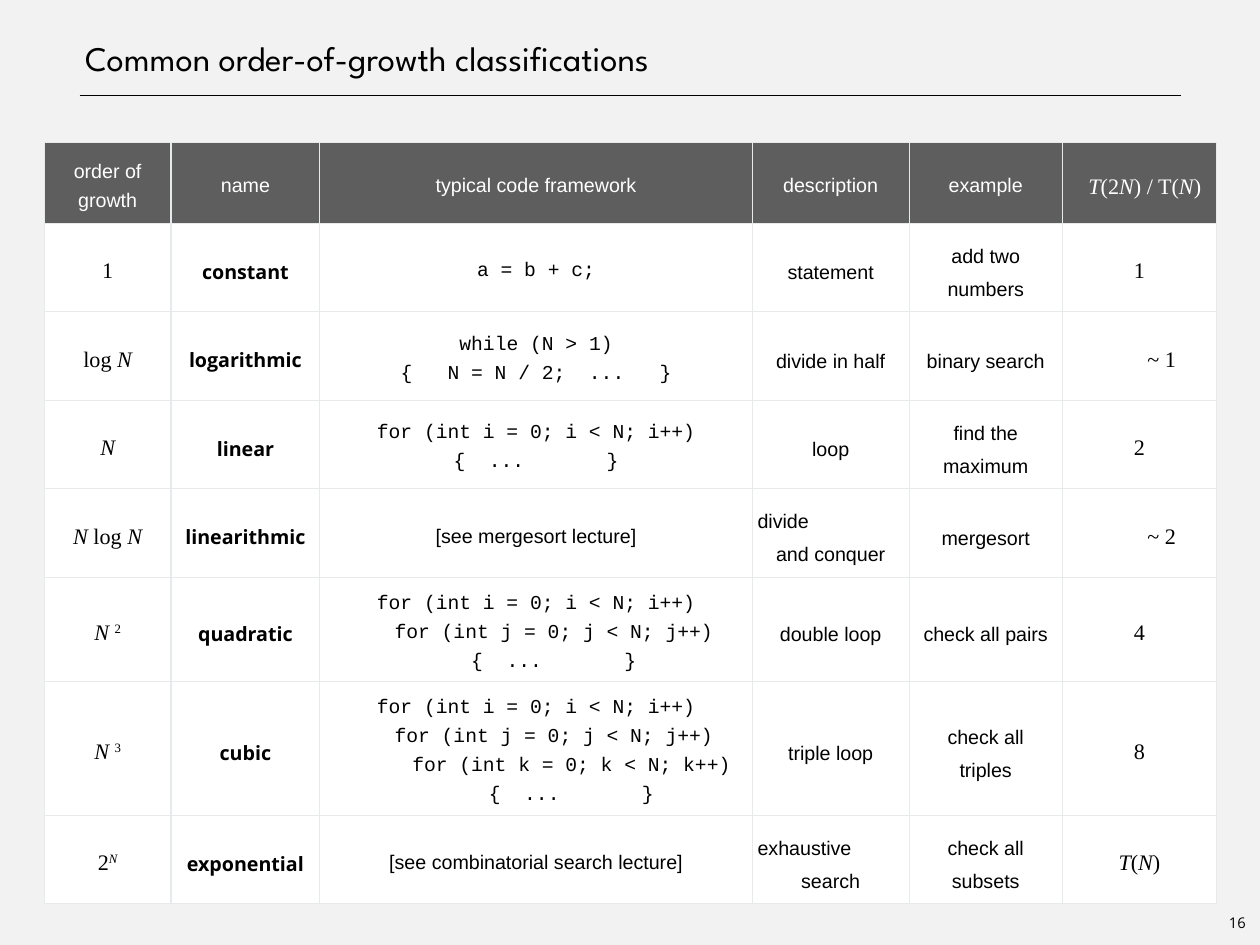
from dataclasses import dataclass, replace

from lxml.etree import SubElement
from pptx import Presentation
from pptx.dml.color import RGBColor
from pptx.enum.shapes import MSO_CONNECTOR as Connector
from pptx.enum.text import MSO_ANCHOR as Anchor, PP_ALIGN as Align
from pptx.oxml.ns import qn
from pptx.util import Inches, Pt

BLACK = RGBColor(0x00, 0x00, 0x00)
WHITE = RGBColor(0xFF, 0xFF, 0xFF)
PAPER = RGBColor(0xF2, 0xF2, 0xF2)
SLATE = RGBColor(0x5E, 0x5E, 0x5E)
RULE = RGBColor(0xE7, 0xEA, 0xEB)

WIDTH, HEIGHT = 14.22, 10.67
PAD = 0.06


@dataclass
class Style:
    font: str
    size: int = 16
    bold: bool = False
    color: RGBColor = BLACK
    spacing: float = 1.3
    margin: float = PAD
    shift: float = 0
    align: Align = Align.CENTER


LABEL = Style("Arial")
HEADER = replace(LABEL, color=WHITE)
PROSE = replace(LABEL, spacing=1.5)
NAME = Style("Open Sans", bold=True)
CODE = Style("Courier New", margin=0.15)
MATH = Style("Times New Roman", size=18)
APPROXIMATE = replace(MATH, shift=0.5)
RATIO_HEADER = replace(MATH, color=WHITE, shift=0.12)
TITLE = Style("League Spartan", size=28, spacing=1, align=Align.LEFT)
PAGE = Style("Open Sans", size=12, spacing=1, margin=0)

COLUMNS = [1.43, 1.68, 4.88, 1.77, 1.73, 1.74]
ROWS = [0.91, 1, 1, 1, 1, 1.18, 1.42, 1]
COLUMN_STYLES = [MATH, NAME, CODE, PROSE, PROSE, MATH]

HEADINGS = ["order of growth", "name", "typical code framework",
            "description", "example", "*T*(2*N*) / T(*N*)"]

FOR_I = "for (int i = 0; i < N; i++)\n"
FOR_J = "   for (int j = 0; j < N; j++)\n"
FOR_K = "      for (int k = 0; k < N; k++)\n"
BODY = "{  ...       }"

CLASSES = [
    ["1", "constant", "a = b + c;", "statement", "add two numbers", "1"],
    ["log *N*", "logarithmic", "while (N > 1)\n{   N = N / 2;  ...   }",
     "divide in half", "binary search", "~ 1"],
    ["*N*", "linear", FOR_I + BODY, "loop", "find the maximum", "2"],
    ["*N* log *N*", "linearithmic", "[see mergesort lecture]",
     "divide\nand conquer", "mergesort", "~ 2"],
    ["*N *^2", "quadratic", FOR_I + FOR_J + "   " + BODY,
     "double loop", "check all pairs", "4"],
    ["*N *^3", "cubic", FOR_I + FOR_J + FOR_K + "      " + BODY,
     "triple loop", "check all triples", "8"],
    ["2^*N*", "exponential", "[see combinatorial search lecture]",
     "exhaustive\nsearch", "check all subsets", "*T*(*N*)"],
]


def format_paragraph(paragraph, style):
    paragraph.alignment = style.align
    paragraph.line_spacing = style.spacing
    properties = paragraph._p.get_or_add_pPr()
    properties.set("marL", str(Inches(style.margin + style.shift)))
    properties.set("marR", str(Inches(style.margin)))
    properties.set("indent", "0")
    for run in paragraph.runs:
        run.font.name = style.font
        run.font.size = Pt(style.size)
        run.font.bold = style.bold
        run.font.color.rgb = style.color


def write_lines(frame, text, style):
    frame.text = text
    for paragraph in frame.paragraphs:
        format_paragraph(paragraph, style)


def write_formula(frame, formula, style):
    paragraph = frame.paragraphs[0]
    for level, part in enumerate(formula.split("^")):
        for position, piece in enumerate(part.split("*")):
            if piece:
                run = paragraph.add_run()
                run.text = piece
                run.font.italic = position % 2 == 1
                if level:
                    run._r.get_or_add_rPr().set("baseline", "32000")
    format_paragraph(paragraph, style)


def add_label(slide, box, text, style, anchor, wrap):
    frame = slide.shapes.add_textbox(*map(Inches, box)).text_frame
    frame.margin_left = frame.margin_right = 0
    frame.margin_top = frame.margin_bottom = 0
    frame.vertical_anchor = anchor
    frame.word_wrap = wrap
    write_lines(frame, text, style)


def add_heading(slide, box):
    left, top, width, height = box
    add_label(slide, (left, top, width, height - 0.19),
              "Common order-of-growth classifications", TITLE, Anchor.BOTTOM, True)
    underline = slide.shapes.add_connector(
        Connector.STRAIGHT, Inches(left), Inches(top + height),
        Inches(left + width), Inches(top + height))
    underline.line.color.rgb = BLACK
    underline.line.width = Pt(1)
    SubElement(underline._element.spPr, qn("a:effectLst"))


def dress_cell(cell, fill):
    properties = cell._tc.get_or_add_tcPr()
    for side in ("lnL", "lnR", "lnT", "lnB"):
        edge = SubElement(properties, qn(f"a:{side}"), w=str(Pt(1)))
        solid = SubElement(edge, qn("a:solidFill"))
        SubElement(solid, qn("a:srgbClr"), val=str(RULE))
    cell.fill.solid()
    cell.fill.fore_color.rgb = fill
    cell.vertical_anchor = Anchor.MIDDLE
    cell.margin_left = cell.margin_right = Inches(PAD)
    cell.margin_top = cell.margin_bottom = Inches(PAD)


def cell_style(row, column, text):
    if row == 0:
        return RATIO_HEADER if column == len(COLUMNS) - 1 else HEADER
    if text.startswith("["):
        return LABEL
    if text.startswith("~"):
        return APPROXIMATE
    return COLUMN_STYLES[column]


def add_growth_table(slide, box):
    left, top, width, height = box
    table = slide.shapes.add_table(
        len(ROWS), len(COLUMNS), *map(Inches, box)).table
    table.first_row = table.horz_banding = False
    for column, share in zip(table.columns, COLUMNS):
        column.width = Inches(width * share / sum(COLUMNS))
    for row, share in zip(table.rows, ROWS):
        row.height = Inches(height * share / sum(ROWS))
    for r, entries in enumerate([HEADINGS] + CLASSES):
        for c, text in enumerate(entries):
            cell = table.cell(r, c)
            dress_cell(cell, WHITE if r else SLATE)
            style = cell_style(r, c, text)
            write = write_formula if style.font == MATH.font else write_lines
            write(cell.text_frame, text, style)
            if style is PROSE and "\n" in text:
                format_paragraph(cell.text_frame.paragraphs[0],
                                 replace(PROSE, margin=0, align=Align.LEFT))


def main():
    deck = Presentation()
    deck.slide_width, deck.slide_height = Inches(WIDTH), Inches(HEIGHT)
    slide = deck.slides.add_slide(deck.slide_layouts[6])
    slide.background.fill.solid()
    slide.background.fill.fore_color.rgb = PAPER
    add_heading(slide, (0.9, 0, WIDTH - 1.79, 1.08))
    add_label(slide, (WIDTH - 0.41, HEIGHT - 0.41, 0.31, 0.31),
              "16", PAGE, Anchor.MIDDLE, False)
    add_growth_table(slide, (0.5, 1.61, WIDTH - 0.99, 8.51))
    deck.save("out.pptx")


if __name__ == "__main__":
    main()
